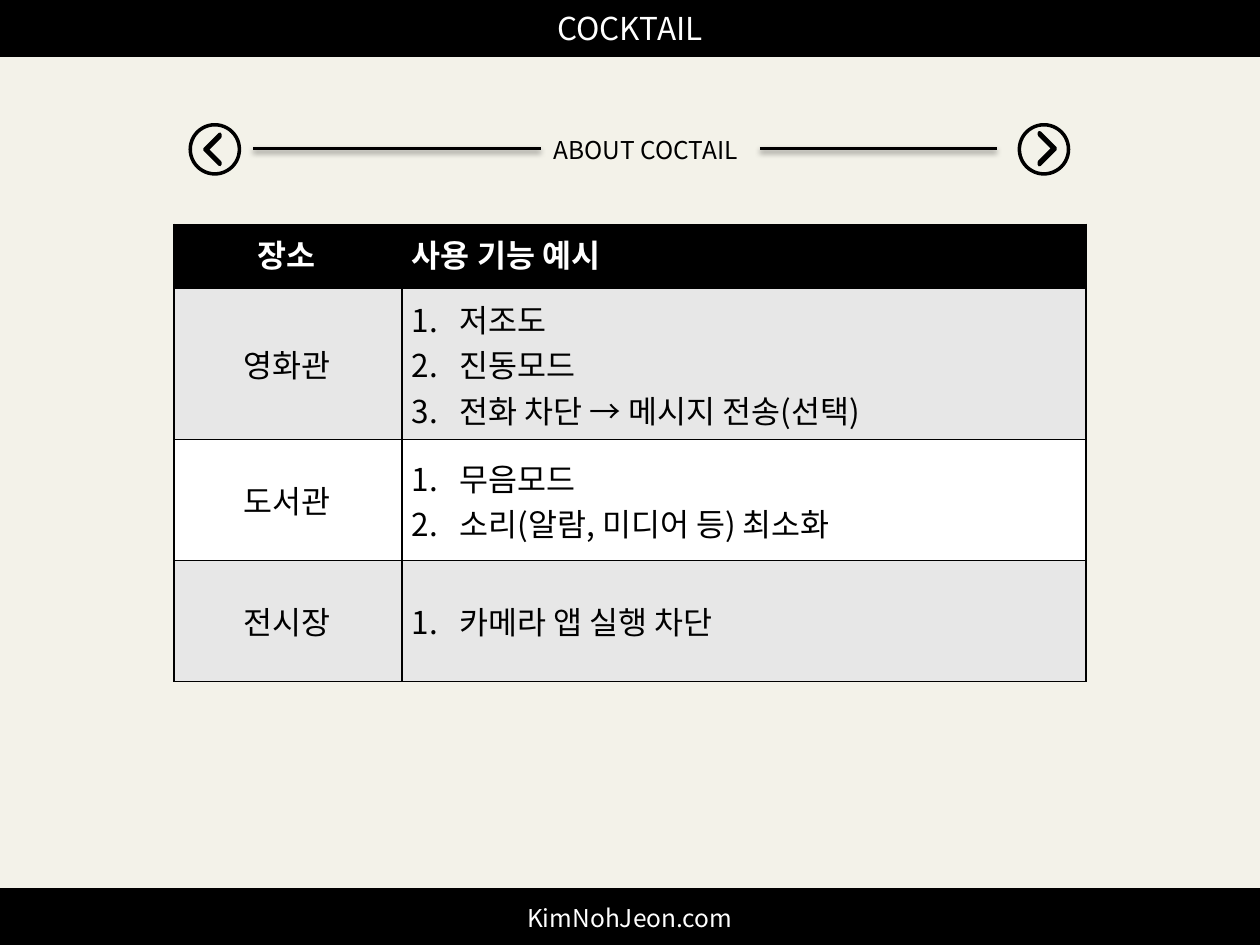
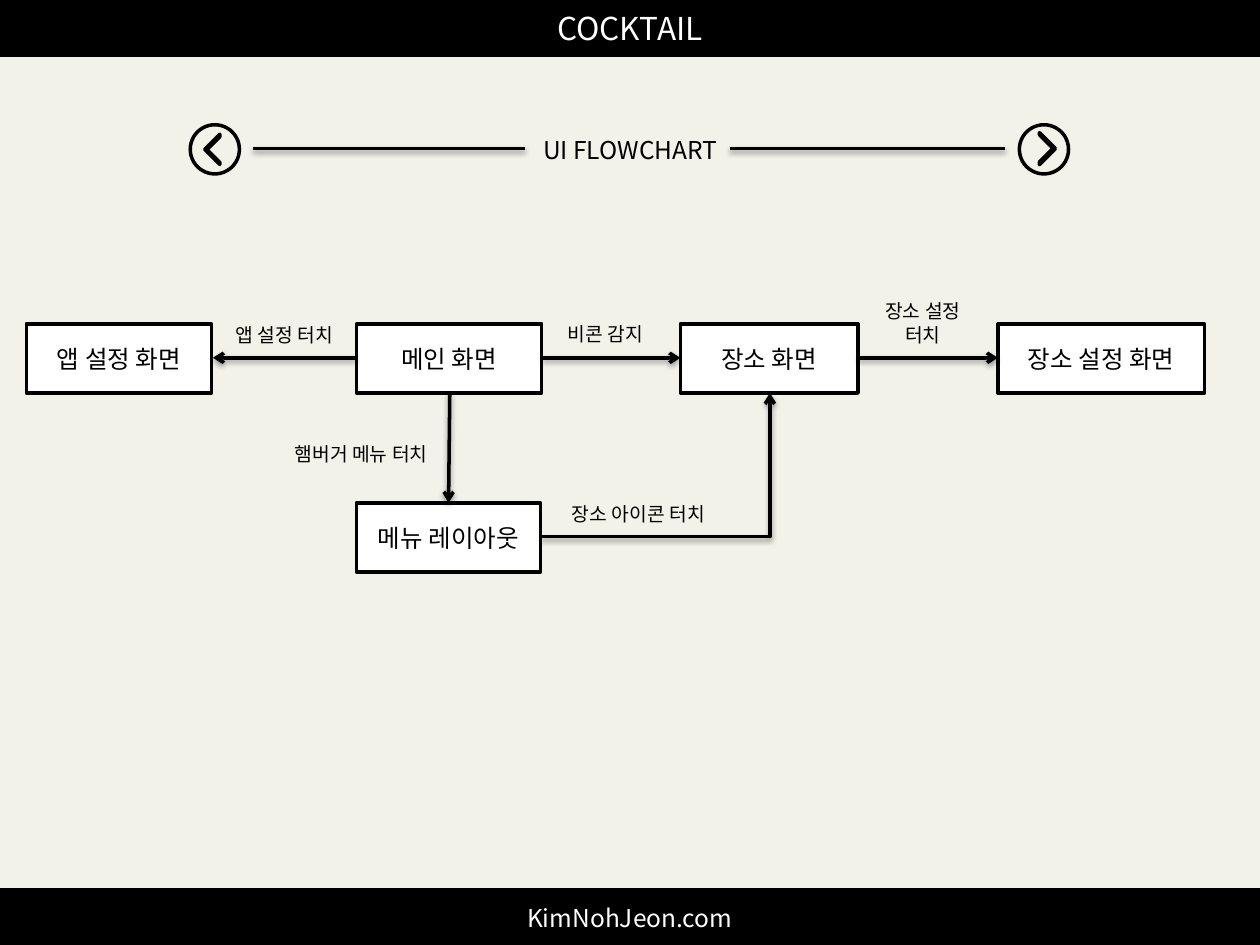
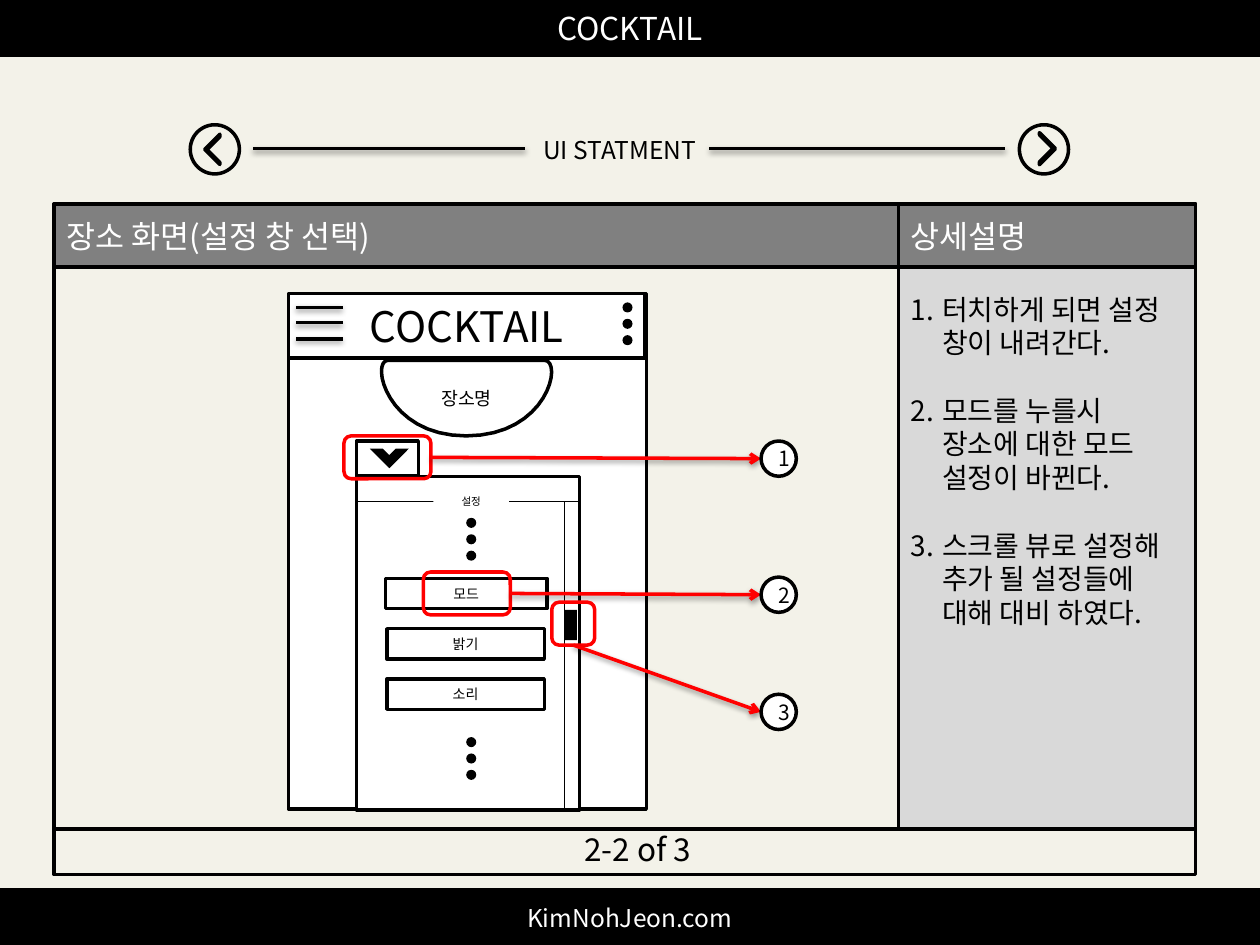
from pptx import Presentation
from pptx.util import Inches, Pt
from pptx.dml.color import RGBColor
from pptx.enum.shapes import MSO_SHAPE as Form, MSO_CONNECTOR as Wire
from pptx.enum.text import PP_ALIGN as Align, MSO_ANCHOR as Anchor
from pptx.oxml import parse_xml
from pptx.oxml.ns import nsdecls, qn
from lxml.etree import SubElement

# Shared look
FONT = "Noto Sans CJK KR"
BLACK = RGBColor(0, 0, 0)
WHITE = RGBColor(255, 255, 255)
CREAM = RGBColor(0xF3, 0xF2, 0xE9)
PALE = RGBColor(0xE7, 0xE7, 0xE7)
LIGHT = RGBColor(0xD9, 0xD9, 0xD9)
GRAY = RGBColor(0x80, 0x80, 0x80)
RED = RGBColor(255, 0, 0)
WIDE, HIGH, BAND = 10, 7.5, 0.44

# Content: title, its left, width and inset, end of the right rule
BANDS = [("COCKTAIL", 0, 18), ("KimNohJeon.com", HIGH - BAND, 14)]
HEADS = [
    ("ABOUT COCTAIL", 4.29, 1.74, 0.1, 7.91),
    ("UI FLOWCHART", 4.17, 1.62, 0.14, 7.98),
    ("UI STATMENT", 4.17, 1.46, 0.14, 7.98),
]

# Slide 1: place, functions, row height
PLACES = [
    ("장소", ["사용 기능 예시"], 0.51),
    ("영화관", ["저조도", "진동모드", "전화 차단 → 메시지 전송(선택)"], 1.2),
    ("도서관", ["무음모드", "소리(알람, 미디어 등) 최소화"], 0.96),
    ("전시장", ["카메라 앱 실행 차단"], 0.96),
]

# Slide 2: screens as text, left, row, width; labels as text and box
ROWS, STEP = (2.57, 3.99), 0.55
SCREENS = [
    ("앱 설정 화면", 0.21, 0, 1.47),
    ("메인 화면", 2.83, 0, 1.47),
    ("장소 화면", 5.4, 0, 1.41),
    ("장소 설정 화면", 7.92, 0, 1.64),
    ("메뉴 레이아웃", 2.83, 1, 1.46),
]
LABELS = [
    (["앱 설정 터치"], 1.77, 2.52, 1.08, 0.29),
    (["비콘 감지"], 4.41, 2.51, 0.87, 0.29),
    (["장소 설정", "터치"], 6.89, 2.33, 0.87, 0.47),
    (["햄버거 메뉴 터치"], 2.24, 3.46, 1.44, 0.29),
    (["장소 아이콘 터치"], 4.44, 3.94, 1.39, 0.29),
]
FLOWS = [
    (2.83, 2.84, 1.69, 2.84),
    (4.31, 2.84, 5.4, 2.84),
    (6.81, 2.84, 7.92, 2.84),
    (3.57, 3.12, 3.56, 3.99),
]

# Slide 3: notes; buttons; marks as number, framed box, arrow start, circle top
NOTES = [
    "터치하게 되면 설정 창이 내려간다.",
    "모드를 누를시 장소에 대한 모드 설정이 바뀐다.",
    "스크롤 뷰로 설정해 추가 될 설정들에 대해 대비 하였다.",
]
BUTTONS = [("모드", 3.06, 1.28), ("밝기", 3.07, 1.25), ("소리", 3.07, 1.25)]
DOTS = [(4.94, 2.4), (3.7, 4.11), (3.7, 5.85)]
MARKS = [
    ("1", (2.73, 3.46, 0.69, 0.34), (3.42, 3.63), 3.5),
    ("2", (3.36, 4.54, 0.69, 0.34), (4.05, 4.71), 4.58),
    ("3", (4.38, 4.78, 0.34, 0.34), (4.55, 5.12), 5.51),
]
BOWL = [
    ((4.32, 2.86), (4.47, 2.86), (4.35, 3.46), (3.7, 3.46)),
    ((3.7, 3.46), (3.06, 3.46), (2.94, 2.86), (3.08, 2.86)),
]


def inch(*nums):
    return [Inches(n) for n in nums]


def write(frame, text, size=14, color=BLACK, bold=False, align=Align.CENTER,
          anchor=Anchor.MIDDLE, indent=0, gap=0):
    """Fill a text frame; an indent makes a numbered list."""
    lines = [text] if isinstance(text, str) else text
    frame.word_wrap = True
    frame.vertical_anchor = anchor
    for i, line in enumerate(lines):
        para = frame.add_paragraph() if i else frame.paragraphs[0]
        para.alignment = align
        if i and gap:
            para.space_before = Pt(gap)
        run = para.add_run()
        run.text = line
        font = run.font
        font.name, font.size, font.bold = FONT, Pt(size), bold
        font.color.rgb = color
        font._element.find(qn("a:latin")).addnext(
            parse_xml(f'<a:ea {nsdecls("a")} typeface="{FONT}"/>'))
        if indent:
            props = para._p.get_or_add_pPr()
            props.set("marL", str(Inches(indent)))
            props.set("indent", str(-Inches(indent)))
            SubElement(props, qn("a:buAutoNum"), type="arabicPeriod")


def shape(slide, form, box, fill=None, line=BLACK, text=None, turn=0, **style):
    item = slide.shapes.add_shape(form, *inch(*box))
    paint(item, fill, line)
    item.rotation = turn
    if text:
        write(item.text_frame, text, **style)
    return item


def paint(item, fill, line):
    item.shadow.inherit = False
    if fill is None:
        item.fill.background()
    else:
        item.fill.solid()
        item.fill.fore_color.rgb = fill
    if line is None:
        item.line.fill.background()
    else:
        item.line.color.rgb = line
        item.line.width = Pt(2)


def label(slide, box, text, **style):
    write(slide.shapes.add_textbox(*inch(*box)).text_frame, text, **style)


def rule(slide, ends, color=BLACK, width=2, arrow=False, shade=True, bent=False):
    kind = Wire.ELBOW if bent else Wire.STRAIGHT
    item = slide.shapes.add_connector(kind, *inch(*ends))
    item.line.color.rgb = color
    item.line.width = Pt(width)
    props = item._element.spPr
    if bent:
        props.find(qn("a:prstGeom")).set("prst", "bentConnector2")
    if arrow:
        SubElement(props.find(qn("a:ln")), qn("a:tailEnd"), type="arrow")
    glow = SubElement(props, qn("a:effectLst"))
    if shade:
        cast = SubElement(glow, qn("a:outerShdw"), blurRad="40000",
                          dist="20000", dir="5400000", rotWithShape="0")
        tint = SubElement(cast, qn("a:srgbClr"), val="000000")
        SubElement(tint, qn("a:alpha"), val="38000")


def edge(cell, inner):
    """Black cell borders, none on the inner side."""
    props = cell._tc.get_or_add_tcPr()
    for i, side in enumerate(("lnL", "lnR", "lnT", "lnB")):
        fill = "<a:noFill/>" if side == inner else \
            '<a:solidFill><a:srgbClr val="000000"/></a:solidFill>'
        props.insert(i, parse_xml(
            f'<a:{side} {nsdecls("a")} w="12700">{fill}</a:{side}>'))


def start(deck, head):
    """New slide with bands, title, rules and round buttons."""
    slide = deck.slides.add_slide(deck.slide_layouts[5])
    slide.background.fill.solid()
    slide.background.fill.fore_color.rgb = CREAM
    for text, top, size in BANDS:
        shape(slide, Form.RECTANGLE, (0, top, WIDE, BAND), BLACK,
              text=text, size=size, color=WHITE)
    text, left, width, inset, end = head
    title = slide.shapes.title
    title.left, title.top, title.width, title.height = inch(left, 1.02, width, 0.34)
    frame = title.text_frame
    frame.margin_left, frame.margin_right = inch(inset, 0)
    write(frame, text, align=Align.LEFT)
    rule(slide, (2.01, 1.18, left, 1.18))
    rule(slide, (left + width, 1.18, end, 1.18))
    for x, tip, top, side, turn in ((1.51, 1.66, 1.1, 0.17, 315),
                                    (8.09, 8.16, 1.09, 0.18, 135)):
        shape(slide, Form.OVAL, (x, 0.99, 0.39, 0.39))
        mark = shape(slide, Form.HALF_FRAME, (tip, top, side, side), WHITE, turn=turn)
        mark.adjustments[0], mark.adjustments[1] = 0.088, 0.068
    return slide


def places(slide):
    left, top, cols = 1.38, 1.78, (1.79, 5.45)
    tall = sum(row[2] for row in PLACES)
    grid = slide.shapes.add_table(
        len(PLACES), 2, *inch(left, top, sum(cols), tall)).table
    grid.first_row = grid.horz_banding = False
    for col, width in zip(grid.columns, cols):
        col.width = Inches(width)
    for r, (place, uses, height) in enumerate(PLACES):
        grid.rows[r].height = Inches(height)
        first = r == 0
        for c, text in enumerate((place, uses)):
            cell = grid.cell(r, c)
            cell.fill.solid()
            cell.fill.fore_color.rgb = BLACK if first else PALE if r % 2 else WHITE
            write(cell.text_frame, text, size=18, bold=first,
                  color=WHITE if first else BLACK,
                  align=Align.LEFT if c else Align.CENTER,
                  indent=0.38 if c and not first else 0)
            cell.vertical_anchor = Anchor.TOP if first else Anchor.MIDDLE
            edge(cell, "lnL" if c else "lnR")
    x = left + cols[0] + 0.02
    rule(slide, (x, top, x, top + tall), width=0.75, shade=False)


def flow(slide):
    for text, left, row, width in SCREENS:
        shape(slide, Form.RECTANGLE, (left, ROWS[row], width, STEP), WHITE, text=text)
    for ends in FLOWS:
        rule(slide, ends, arrow=True)
    rule(slide, (4.29, 4.26, 6.11, 3.12), arrow=True, bent=True)
    for text, *box in LABELS:
        label(slide, box, text, size=11, anchor=Anchor.TOP,
              align=Align.CENTER if len(text) > 1 else Align.LEFT)


def curve(ends, steps=16):
    """Points along a cubic curve."""
    for i in range(1, steps + 1):
        t = i / steps
        parts = ((1 - t) ** 3, 3 * t * (1 - t) ** 2, 3 * t * t * (1 - t), t ** 3)
        yield tuple(Inches(sum(k * p[n] for k, p in zip(parts, ends))) for n in (0, 1))


def phone(slide):
    box = Form.RECTANGLE
    # Screen and its top bar
    shape(slide, box, (2.29, 2.33, 2.84, 4.09), WHITE)
    shape(slide, box, (2.29, 2.33, 2.83, 0.51), WHITE, text="COCKTAIL", size=24)
    for y in (2.44, 2.56, 2.69):
        rule(slide, (2.35, y, 2.72, y))
    # Place name
    pen = slide.shapes.build_freeform(*inch(3.08, 2.86), scale=1.0)
    pen.add_line_segments([tuple(inch(4.32, 2.86))]
                          + [spot for part in BOWL for spot in curve(part)])
    bowl = pen.convert_to_shape()
    paint(bowl, WHITE, BLACK)
    write(bowl.text_frame, "장소명", size=10.5)
    # Settings pane with its tab and scroll bar
    shape(slide, box, (2.83, 3.78, 1.77, 2.65), WHITE)
    shape(slide, box, (2.83, 3.5, 0.49, 0.28), WHITE)
    shape(slide, Form.HALF_FRAME, (2.98, 3.45, 0.22, 0.22), BLACK, None, turn=225)
    rule(slide, (2.83, 3.98, 4.6, 3.98), width=0.75, shade=False)
    shape(slide, box, (3.44, 3.86, 0.6, 0.24), WHITE, None, text="설정", size=6)
    for i, (text, left, width) in enumerate(BUTTONS):
        shape(slide, box, (left, 4.59 + 0.4 * i, width, 0.24), WHITE, text=text, size=8)
    shape(slide, box, (4.48, 4.84, 0.1, 0.24), BLACK, None)
    rule(slide, (4.48, 3.98, 4.48, 6.42), width=0.75, shade=False)
    for x, y in DOTS:
        for i in range(3):
            shape(slide, Form.OVAL, (x, y + 0.13 * i, 0.08, 0.08), BLACK, None)


def marks(slide):
    for text, box, spot, top in MARKS:
        shape(slide, Form.ROUNDED_RECTANGLE, box, line=RED)
        rule(slide, (*spot, 6.04, top + 0.14), RED, arrow=True)
        shape(slide, Form.OVAL, (6.04, top, 0.28, 0.28), WHITE, text=text, size=12)


def panel(slide):
    left, top, split, right, base = 0.43, 1.62, 7.13, 9.49, 6.58
    box = Form.RECTANGLE
    shape(slide, box, (left, top, right - left, 5.32))
    label(slide, (4.54, 6.54, 1.13, 0.4), "2-2 of 3", size=18, align=Align.LEFT)
    rule(slide, (left, base, right, base), shade=False)
    for text, x, end in (("장소 화면(설정 창 선택)", left, split),
                         ("상세설명", split, right)):
        shape(slide, box, (x, top, end - x, 0.5), GRAY, text=text, size=18,
              color=WHITE, align=Align.LEFT)
    side = shape(slide, box, (split, top + 0.5, right - split, base - top - 0.5), LIGHT)
    frame = side.text_frame
    frame.margin_top = frame.margin_bottom = Inches(0.2)
    write(frame, NOTES, size=16, align=Align.LEFT, anchor=Anchor.TOP,
          indent=0.25, gap=19.4)


deck = Presentation()
deck.slide_width, deck.slide_height = inch(WIDE, HIGH)
for head, parts in zip(HEADS, ((places,), (flow,), (phone, marks, panel))):
    slide = start(deck, head)
    for draw in parts:
        draw(slide)
deck.save("out.pptx")
